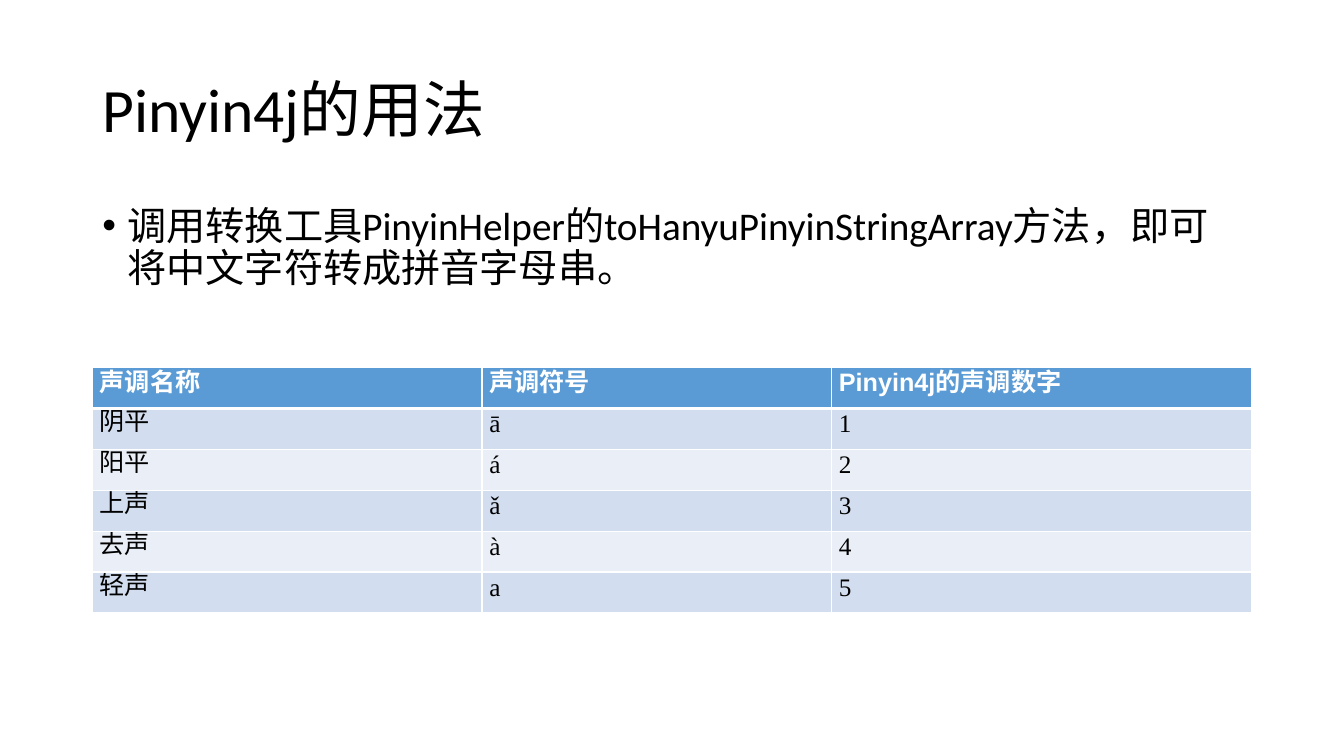
from dataclasses import dataclass

from lxml.etree import SubElement
from pptx import Presentation
from pptx.dml.color import RGBColor
from pptx.enum.text import MSO_ANCHOR as Anchor, PP_ALIGN as Align
from pptx.oxml.ns import qn
from pptx.util import Pt

PX = 9525


@dataclass(frozen=True)
class Theme:
    ink: str = "000000"
    white: str = "FFFFFF"
    header: str = "5B9BD5"
    bands: tuple = ("D2DEEF", "EAEFF7")
    body_font: str = "Calibri"
    header_font: str = "Arial"
    cell_font: str = "Times New Roman"
    title_size: int = 44
    body_size: int = 28
    cell_size: int = 18


theme = Theme()


def add_span(para, text, font, size, color, bold=False):
    span = para.add_run()
    span.text = text
    span.font.name = font
    span.font.size = Pt(size)
    span.font.bold = bold
    span.font.color.rgb = RGBColor.from_string(color)


def add_text(page, top, height, anchor, text, size):
    box = page.shapes.add_textbox(88 * PX, top * PX, 1104 * PX, height * PX)
    box.text_frame.word_wrap = True
    box.text_frame.vertical_anchor = anchor
    para = box.text_frame.paragraphs[0]
    para.line_spacing = 0.9
    add_span(para, text, theme.body_font, size, theme.ink)
    return para


deck = Presentation()
deck.slide_width = 1280 * PX
deck.slide_height = 720 * PX
page = deck.slides.add_slide(deck.slide_layouts[6])

add_text(page, 38, 139, Anchor.MIDDLE, "Pinyin4j的用法", theme.title_size)

usage = add_text(
    page, 192, 457, Anchor.TOP,
    "调用转换工具PinyinHelper的toHanyuPinyinStringArray方法，即可将中文字符转成拼音字母串。",
    theme.body_size,
)
usage.space_before = Pt(10)
usage_props = usage._p.get_or_add_pPr()
usage_props.set("marL", str(24 * PX))
usage_props.set("indent", str(-24 * PX))
SubElement(usage_props, qn("a:buFont"), typeface="Arial")
SubElement(usage_props, qn("a:buChar"), char="•")

tones = [
    ("声调名称", "声调符号", "Pinyin4j的声调数字"),
    ("阴平", "ā", "1"),
    ("阳平", "á", "2"),
    ("上声", "ǎ", "3"),
    ("去声", "à", "4"),
    ("轻声", "a", "5"),
]
column_widths = (371, 333, 400)
row_height = 39
frame = page.shapes.add_table(
    len(tones), len(column_widths), 88 * PX, 350 * PX,
    sum(column_widths) * PX, row_height * len(tones) * PX,
)
table = frame.table
for column, width in zip(table.columns, column_widths):
    column.width = width * PX

for row_index, tone in enumerate(tones):
    table.rows[row_index].height = row_height * PX
    is_header = row_index == 0
    fill = theme.header if is_header else theme.bands[(row_index - 1) % 2]
    for column_index, text in enumerate(tone):
        cell = table.cell(row_index, column_index)
        cell.vertical_anchor = Anchor.MIDDLE
        cell.margin_left = cell.margin_right = 7 * PX
        cell.margin_top = cell.margin_bottom = 0

        cell_props = cell._tc.get_or_add_tcPr()
        for side in "LRTB":
            thick = (is_header and side == "B") or (row_index == 1 and side == "T")
            border = SubElement(cell_props, qn(f"a:ln{side}"), w=str(Pt(3 if thick else 1)))
            border_fill = SubElement(border, qn("a:solidFill"))
            SubElement(border_fill, qn("a:srgbClr"), val=theme.white)
        cell.fill.solid()
        cell.fill.fore_color.rgb = RGBColor.from_string(fill)

        para = cell.text_frame.paragraphs[0]
        if is_header:
            para.alignment = Align.JUSTIFY
            para.line_spacing = Pt(15.6)
            add_span(para, text, theme.header_font, theme.cell_size, theme.white, bold=True)
        else:
            para.alignment = Align.LEFT
            para.line_spacing = Pt(13)
            add_span(para, text, theme.cell_font, theme.cell_size, theme.ink)

deck.save("out.pptx")
